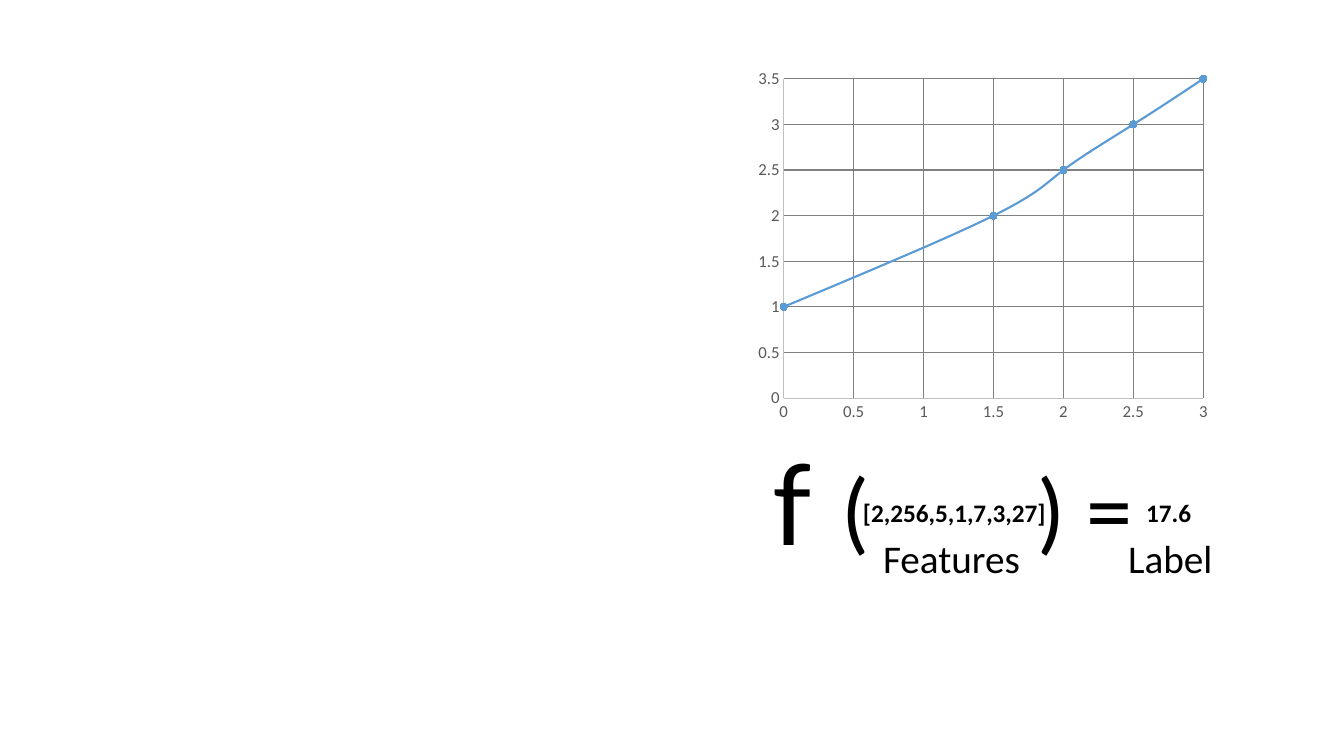
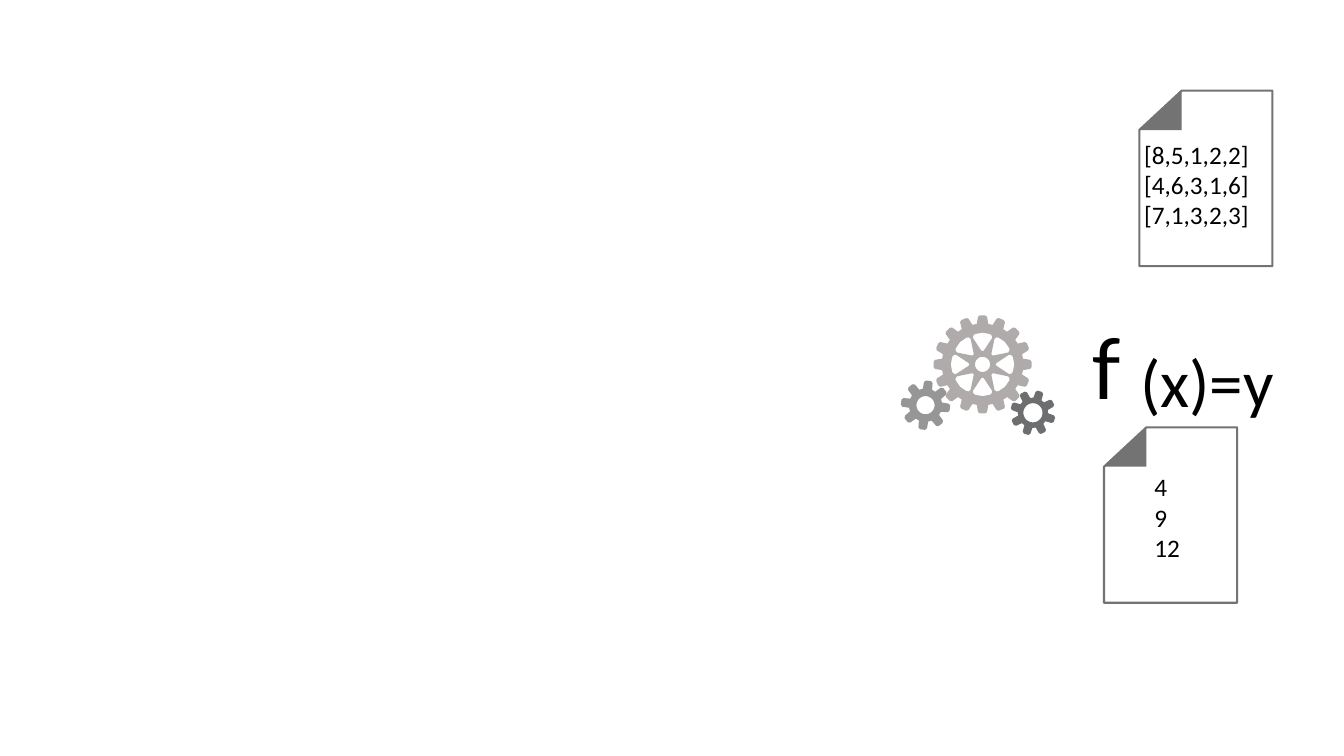
from dataclasses import dataclass
from math import cos, radians, sin

from pptx import Presentation
from pptx.chart.data import XyChartData
from pptx.dml.color import RGBColor as Rgb
from pptx.enum.chart import XL_CHART_TYPE as ChartType
from pptx.enum.chart import XL_MARKER_STYLE as Marker
from pptx.enum.chart import XL_TICK_MARK as Tick
from pptx.enum.text import MSO_AUTO_SIZE as AutoSize
from pptx.util import Emu, Pt


@dataclass(frozen=True)
class Theme:
    body: str = "Calibri"
    display: str = "Lato"
    ink: str = "000000"
    paper: str = "FFFFFF"
    outline: str = "737373"
    series: str = "5B9BD5"
    axis_text: str = "595959"
    axis_line: str = "BFBFBF"
    grid: str = "808080"
    base: int = 10
    axis: int = 12
    small: int = 18
    caption: int = 28
    formula: int = 48
    letter: int = 60
    bracket: int = 66
    huge: int = 80


THEME = Theme()
PX = 9144
SLIDE_SIZE = (1333, 750)

POINTS = [(0, 1), (1.5, 2), (2, 2.5), (2.5, 3), (3, 3.5)]
CHART_FRAME = (743, 61, 464, 365)
AXIS_STEP = 0.5
AXIS_ENDS = {"category_axis": 3, "value_axis": 3.5}

BODY = {"name": THEME.body, "size": THEME.small}
BOLD = {**BODY, "bold": True}
CAPTION = {**BODY, "size": THEME.caption}
BRACKET = {**BODY, "size": THEME.bracket}
FORMULA = {**BODY, "size": THEME.formula}
HUGE = {"name": THEME.display, "size": THEME.huge}
LETTER = {"name": THEME.display, "size": THEME.letter}

EQUATION = [
    (["f"], (756, 425, 548, 145), HUGE),
    (["("], (825, 443, 60, 121), BRACKET),
    ([") ="], (1019, 443, 130, 121), BRACKET),
    (["[2,256,5,1,7,3,27]"], (846, 488, 221, 40), BOLD),
    (["17.6"], (1127, 488, 81, 40), BOLD),
    (["Features"], (866, 525, 159, 57), CAPTION),
    (["Label"], (1109, 525, 159, 57), CAPTION),
]

FUNCTION = [
    (["(x)=y"], (1121, 333, 154, 91), FORMULA, False),
    (["f"], (1073, 308, 67, 111), LETTER),
]

GEARS = [
    {"center": (918, 402), "radii": (16.5, 23, 24.5), "teeth": 8, "turn": 7,
     "hole": 9, "windows": 0, "color": "969696"},
    {"center": (974.5, 361.5), "radii": (40.5, 47.5, 48.7), "teeth": 16, "turn": 0,
     "hole": 7.5, "windows": 8, "color": "AFABAB"},
    {"center": (1024.5, 409.5), "radii": (15, 21, 22.5), "teeth": 8, "turn": 18,
     "hole": 9.5, "windows": 0, "color": "6D6E70"},
]
TOOTH = [(-0.36, 0), (-0.24, 1), (-0.13, 2), (0.13, 2), (0.24, 1), (0.36, 0)]
WINDOW = [(14, -6), (28, -20), (30, -18), (31, -14), (31.5, 0),
          (31, 14), (30, 18), (28, 20), (14, 6), (13, 0)]

PAGE_SIZE = (132, 174)
FOLD_SIZE = (42, 39)
PAGES = [
    ((1095, 424), (["4", "9", "12"], (1135, 463, 46, 101), BODY, False)),
    ((1130, 90), (["[8,5,1,2,2]", "[4,6,3,1,6]", "[7,1,3,2,3]"],
                  (1125, 133, 125, 101), BODY, False)),
]


def emu(*lengths):
    return [Emu(round(length * PX)) for length in lengths]


def apply(target, values):
    for name, value in values.items():
        setattr(target, name, value)


def style_font(font, color=THEME.ink, **values):
    apply(font, {**values, "size": Pt(values["size"])})
    font.color.rgb = Rgb.from_string(color)


def paint(fill, color):
    fill.solid()
    fill.fore_color.rgb = Rgb.from_string(color)


def draw_line(line, color, width):
    paint(line.fill, color)
    line.width = Pt(width)


def add_text(shapes, lines, frame, font, wrap=True):
    box = shapes.add_textbox(*emu(*frame))
    apply(box.text_frame, {"word_wrap": wrap, "auto_size": AutoSize.SHAPE_TO_FIT_TEXT})
    for index, line in enumerate(lines):
        paras = box.text_frame.paragraphs
        para = box.text_frame.add_paragraph() if index else paras[0]
        span = para.add_run()
        span.text = line
        style_font(span.font, **font)


def add_outline(shapes, contours, color, border=None):
    first, *others = [[emu(*point) for point in contour] for contour in contours]
    builder = shapes.build_freeform(*first[0], scale=1.0)
    builder.add_line_segments(first[1:], close=True)
    for contour in others:
        builder.move_to(*contour[0])
        builder.add_line_segments(contour[1:], close=True)
    shape = builder.convert_to_shape()
    shape.shadow.inherit = False
    paint(shape.fill, color)
    if border:
        draw_line(shape.line, border, 1.5)
    else:
        shape.line.fill.background()


def add_gear(shapes, gear):
    def place(radius, angle):
        x, y = gear["center"]
        return x + radius * cos(radians(angle)), y + radius * sin(radians(angle))

    pitch = 360 / gear["teeth"]
    rim = [place(gear["radii"][level], gear["turn"] + (tooth + part) * pitch)
           for tooth in range(gear["teeth"]) for part, level in TOOTH]
    hole = [place(gear["hole"], angle) for angle in range(0, 360, 10)]
    windows = [[place(radius, angle + 360 * index / gear["windows"])
                for radius, angle in WINDOW] for index in range(gear["windows"])]
    add_outline(shapes, [rim, hole, *windows], gear["color"])


def add_page(shapes, corner, text):
    left, top = corner
    right, bottom = left + PAGE_SIZE[0], top + PAGE_SIZE[1]
    fold_x, fold_y = left + FOLD_SIZE[0], top + FOLD_SIZE[1]
    sheet = [(right, bottom), (left, bottom), (left, fold_y), (fold_x, top), (right, top)]
    fold = [(fold_x, fold_y), (left, fold_y), (fold_x, top)]
    add_outline(shapes, [sheet], THEME.paper, THEME.outline)
    add_outline(shapes, [fold], THEME.outline)
    add_text(shapes, *text)


def add_curve(shapes):
    data = XyChartData()
    points = data.add_series("Series 1")
    for x, y in POINTS:
        points.add_data_point(x, y)
    chart = shapes.add_chart(ChartType.XY_SCATTER_SMOOTH, *emu(*CHART_FRAME), data).chart
    apply(chart, {"has_title": False, "has_legend": False})
    style_font(chart.font, name=THEME.body, size=THEME.base)

    plot = chart.plots[0]
    plot.vary_by_categories = False
    series = plot.series[0]
    series._element.get_or_add_smooth().val = True
    draw_line(series.format.line, THEME.series, 1.5)
    apply(series.marker, {"style": Marker.CIRCLE, "size": 5})
    paint(series.marker.format.fill, THEME.series)
    draw_line(series.marker.format.line, THEME.series, 0.75)

    for name, end in AXIS_ENDS.items():
        axis = getattr(chart, name)
        apply(axis, {"minimum_scale": 0, "maximum_scale": end, "major_unit": AXIS_STEP,
                     "major_tick_mark": Tick.NONE, "minor_tick_mark": Tick.NONE,
                     "has_major_gridlines": True})
        apply(axis.tick_labels, {"number_format": "General",
                                 "number_format_is_linked": False})
        style_font(axis.tick_labels.font, THEME.axis_text,
                   name=THEME.body, size=THEME.axis)
        draw_line(axis.format.line, THEME.axis_line, 0.75)
        draw_line(axis.major_gridlines.format.line, THEME.grid, 0.75)


def build_model(shapes):
    for text in EQUATION:
        add_text(shapes, *text)
    add_curve(shapes)


def build_prediction(shapes):
    for gear in GEARS:
        add_gear(shapes, gear)
    formula = shapes.add_group_shape().shapes
    for text in FUNCTION:
        add_text(formula, *text)
    for corner, text in PAGES:
        add_page(shapes.add_group_shape().shapes, corner, text)


def main():
    deck = Presentation()
    deck.slide_width, deck.slide_height = emu(*SLIDE_SIZE)
    for build in (build_model, build_prediction):
        slide = deck.slides.add_slide(deck.slide_layouts[6])
        paint(slide.background.fill, THEME.paper)
        build(slide.shapes)
    deck.save("out.pptx")


if __name__ == "__main__":
    main()
